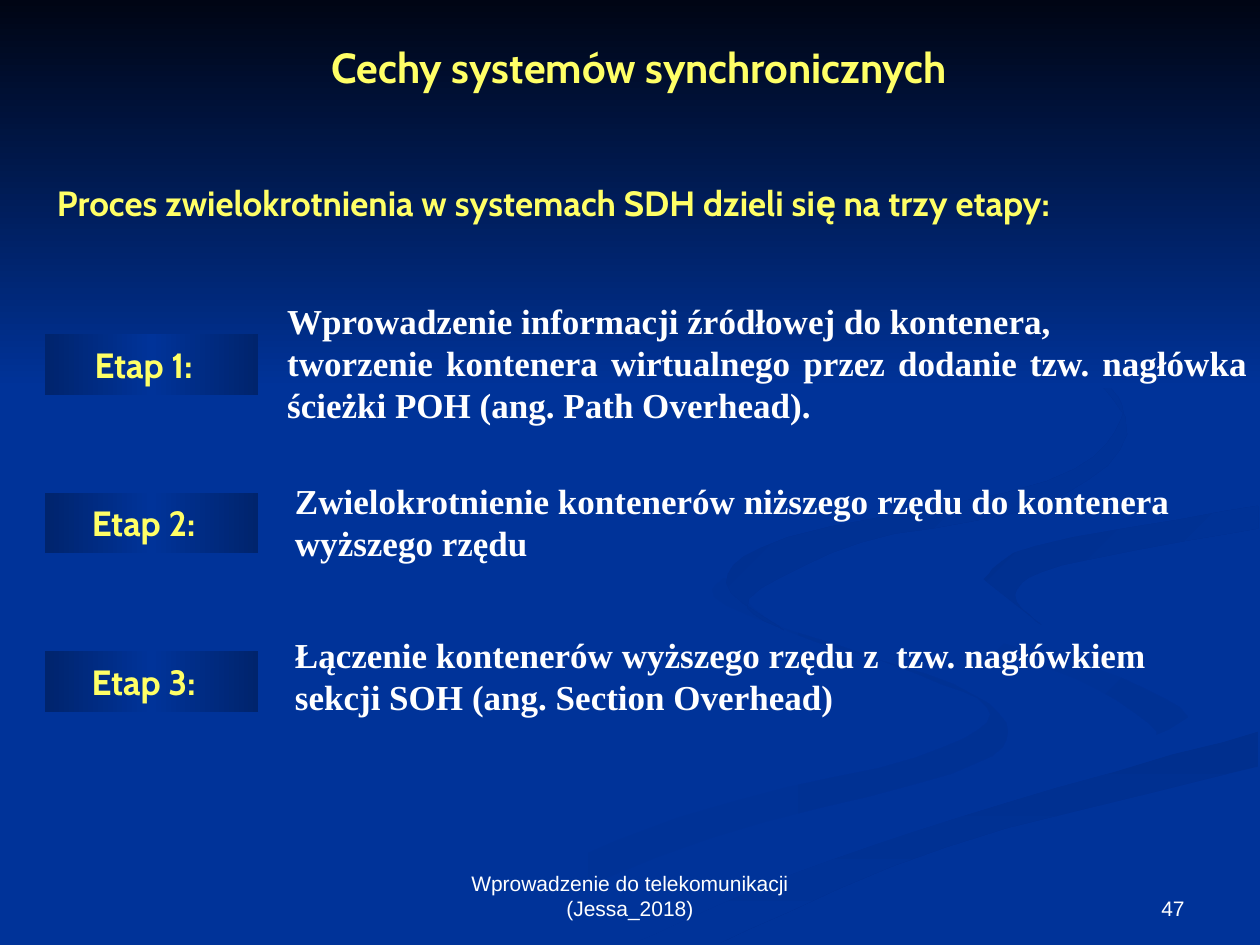
from copy import deepcopy
from dataclasses import dataclass

from pptx import Presentation
from pptx.dml.color import RGBColor
from pptx.enum import shapes, text
from pptx.util import Pt


@dataclass(frozen=True)
class Theme:
    blue: str = "003399"
    night: str = "000514"
    button_edge: str = "00246D"
    shade: str = "002F8E"
    faint_shade: str = "003193"
    yellow: str = "FFFF66"
    white: str = "FFFFFF"
    heading_font: str = "Cabin"
    body_font: str = "Times New Roman"
    footer_font: str = "Arial"
    title_size: int = 24
    body_size: int = 20
    footer_size: int = 12


THEME = Theme()
ALIGN = text.PP_ALIGN
ANCHOR = text.MSO_ANCHOR

# Curved edges in points; neighbouring swooshes share them.
LOWER_BANK = [(362, 539), (454, 499), (574, 459), (719, 418)]
UPPER_BANK = [(562, 331), (592, 312), (719, 289)]

# Each swoosh: its edges, its fill colours and the clockwise gradient angle.
SWOOSHES = [
    ([[(414, 330), (415, 346), (524, 385), (566, 408), (523, 433), (388, 467),
       (216, 539)],
      [(260, 539), (406, 479), (544, 442), (576, 418), (545, 391), (451, 361),
       (414, 330)]], (THEME.blue, THEME.faint_shade), 0),
    ([[(521, 334), (546, 359), (626, 382), (679, 410), (644, 436)],
      [(644, 436), (661, 418), (615, 388), (544, 364), (521, 334)]],
     (THEME.blue, THEME.faint_shade), 45),
    ([LOWER_BANK, [(719, 438), (541, 484), (411, 539)]],
     (THEME.shade, THEME.blue), 90),
    ([[(522, 334), (546, 359), (626, 382), (679, 410), (562, 456), (343, 539)],
      LOWER_BANK, [(719, 387), (611, 362), (562, 331)], UPPER_BANK,
      [(719, 279), (554, 307), (522, 334)]], (THEME.blue,), 0),
    ([UPPER_BANK, [(719, 302), (607, 323), (580, 340), (595, 357)]],
     (THEME.shade, THEME.blue), 45),
    ([[(549, 168), (626, 215), (640, 241), (598, 275), (450, 307), (415, 333),
       (448, 360)],
      [(448, 360), (428, 342), (492, 310), (594, 289), (644, 248), (607, 198),
       (549, 168)]], (THEME.shade, THEME.blue), 45),
]


def curve(knots, steps=5):
    """Return points on a Catmull-Rom curve through the knots."""
    padded = [knots[0], *knots, knots[-1]]
    points = [knots[0]]
    for before, start, end, after in zip(padded, padded[1:], padded[2:], padded[3:]):
        for step in range(1, steps + 1):
            t = step / steps
            points.append(tuple(
                b + t * (c - a + t * (2 * a - 5 * b + 4 * c - d
                                      + t * (3 * b - a - 3 * c + d))) / 2
                for a, b, c, d in zip(before, start, end, after)))
    return points


def paint(shape, colors, angle=0):
    """Fill with one colour, or an evenly spaced gradient at a clockwise angle."""
    shape.shadow.inherit = False
    shape.line.fill.background()
    fill = shape.fill
    if len(colors) == 1:
        fill.solid()
        fill.fore_color.rgb = RGBColor.from_string(colors[0])
        return
    fill.gradient()
    fill.gradient_angle = -angle % 360
    stops = shape.element.spPr.xpath(".//a:gsLst")[0]
    for _ in colors[2:]:
        stops.append(deepcopy(stops[-1]))
    for index, (stop, color) in enumerate(zip(fill.gradient_stops, colors)):
        stop.position = index / (len(colors) - 1)
        stop.color.rgb = RGBColor.from_string(color)


def write(box, lines, font, size, color, bold=True, align=ALIGN.LEFT,
          anchor=ANCHOR.MIDDLE, wrap=True):
    frame = box.text_frame
    frame.word_wrap = wrap
    frame.vertical_anchor = anchor
    for index, line in enumerate(lines):
        para = frame.add_paragraph() if index else frame.paragraphs[0]
        para.alignment = align
        span = para.add_run()
        span.text = line
        span.font.name = font
        span.font.size = Pt(size)
        span.font.bold = bold
        span.font.color.rgb = RGBColor.from_string(color)


def add_text(page, place, lines, *style, **layout):
    box = page.shapes.add_textbox(*map(Pt, place))
    write(box, lines, *style, **layout)


def add_background(page):
    page.background.fill.solid()
    page.background.fill.fore_color.rgb = RGBColor.from_string(THEME.blue)
    for edges, colors, angle in SWOOSHES:
        outline = [point for edge in edges for point in curve(edge)]
        builder = page.shapes.build_freeform(*outline[0], scale=Pt(1))
        builder.add_line_segments(outline[1:], close=True)
        paint(builder.convert_to_shape(), colors, angle)
    sky = page.shapes.add_shape(shapes.MSO_SHAPE.RECTANGLE, 0, 0, Pt(720), Pt(222))
    paint(sky, (THEME.night, THEME.blue), 90)


def add_title(page, words):
    title = page.shapes.title
    title.element.getparent().append(title.element)  # in front of the background
    title.left, title.top, title.width, title.height = map(Pt, (36.5, 20, 657.5, 36))
    write(title, [words], THEME.heading_font, THEME.title_size, THEME.yellow,
          align=ALIGN.CENTER, anchor=ANCHOR.TOP)


def add_stage_button(page, number):
    top = 191 + 90.6 * (number - 1)
    button = page.shapes.add_shape(shapes.MSO_SHAPE.ACTION_BUTTON_CUSTOM,
                                   *map(Pt, (25.5, top, 122, 34.5)))
    paint(button, (THEME.button_edge, THEME.blue, THEME.button_edge))
    button.text_frame.margin_right = Pt(16)
    write(button, [f"Etap {number}:"], THEME.heading_font, THEME.body_size,
          THEME.yellow, align=ALIGN.CENTER)


def main():
    deck = Presentation()
    deck.slide_width, deck.slide_height = Pt(720), Pt(540)
    page = deck.slides.add_slide(deck.slide_layouts[5])
    add_background(page)
    add_title(page, "Cechy systemów synchronicznych")
    add_text(page, (25.5, 100, 681, 31),
             ["Proces zwielokrotnienia w systemach SDH dzieli się na trzy etapy:"],
             THEME.heading_font, THEME.body_size, THEME.yellow)

    body = (THEME.body_font, THEME.body_size, THEME.white)
    add_text(page, (157, 167, 563, 80),
             ["Wprowadzenie informacji źródłowej do kontenera,",
              "tworzenie kontenera wirtualnego przez dodanie tzw. nagłówka "
              "ścieżki POH (ang. Path Overhead)."], *body, align=ALIGN.JUSTIFY)
    add_text(page, (161.5, 270, 518.5, 55.5),
             ["Zwielokrotnienie kontenerów niższego rzędu do kontenera",
              "wyższego rzędu"], *body, align=ALIGN.JUSTIFY, wrap=False)
    add_text(page, (161.5, 358.5, 545, 55.5),
             ["Łączenie kontenerów wyższego rzędu z  tzw. nagłówkiem "
              "sekcji SOH (ang. Section Overhead)"], *body)
    for number in (1, 2, 3):
        add_stage_button(page, number)

    footer = (THEME.footer_font, THEME.footer_size, THEME.white, False)
    add_text(page, (246, 492, 228, 37.5),
             ["Wprowadzenie do telekomunikacji (Jessa_2018)"], *footer,
             align=ALIGN.CENTER, anchor=ANCHOR.BOTTOM)
    add_text(page, (516, 492, 168, 37.5), ["47"], *footer,
             align=ALIGN.RIGHT, anchor=ANCHOR.BOTTOM)
    deck.save("out.pptx")


if __name__ == "__main__":
    main()
